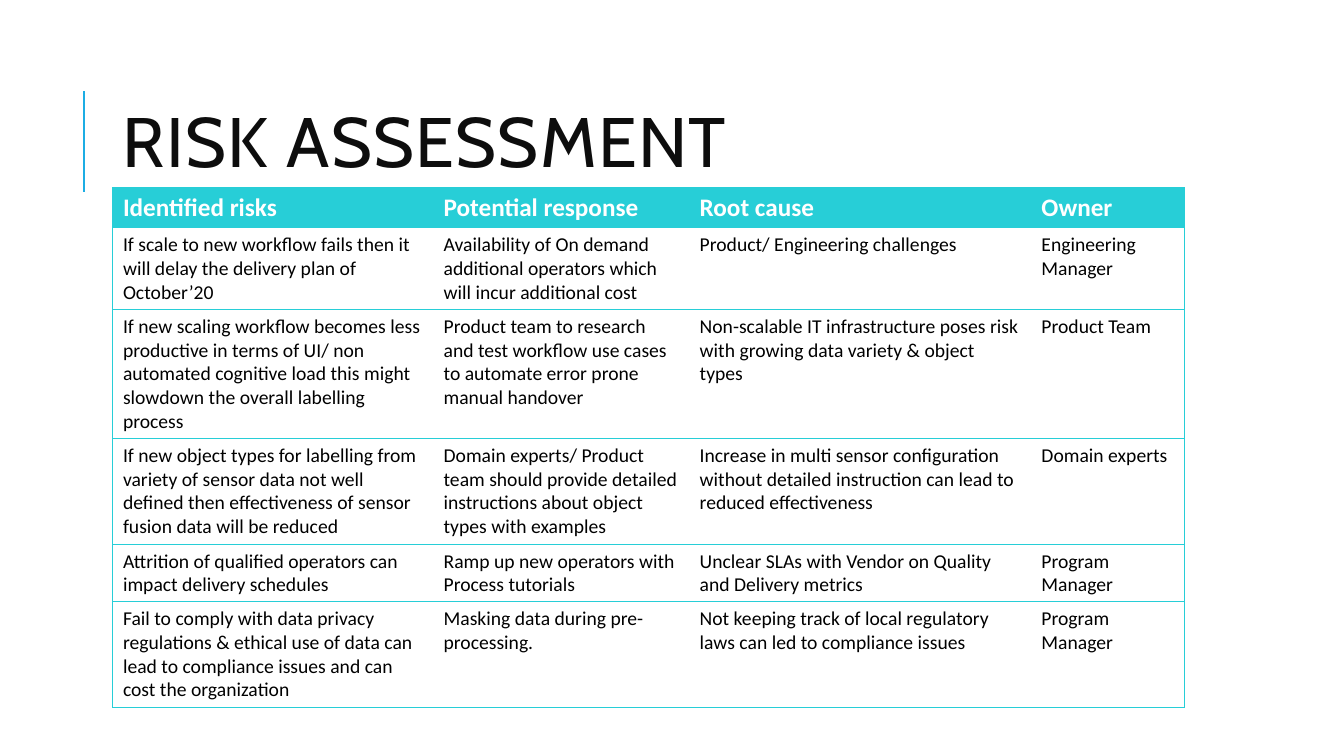
import dataclasses

import lxml.etree
import pptx
import pptx.dml.color
import pptx.enum.shapes
import pptx.enum.text
import pptx.oxml.ns
import pptx.util

Inches = pptx.util.Inches


@dataclasses.dataclass(frozen=True)
class Theme:
    """Colours, fonts and type sizes of the slide."""
    accent: str = "1CADE4"
    teal: str = "27CED7"
    title: str = "0D0D0D"
    body: str = "000000"
    white: str = "FFFFFF"
    title_font: str = "Cabin"
    body_font: str = "Calibri"
    title_size: int = 50
    header_size: int = 18
    body_size: int = 14
    rule_width: float = 1.5
    border_width: float = 0.75


THEME = Theme()
COLUMN_WIDTHS = (3.18, 2.54, 3.39, 1.52)
ROW_HEIGHTS = (0.4, 0.81, 1.28, 1.05, 0.57, 1.05)
RISKS = (
    ("Identified risks", "Potential response", "Root cause", "Owner"),
    ("If scale to new workflow fails then it will delay the delivery plan of October’20",
     "Availability of On demand additional operators which will incur additional cost",
     "Product/ Engineering challenges", "Engineering Manager"),
    ("If new scaling workflow becomes less productive in terms of UI/ non automated "
     "cognitive load this might slowdown the overall labelling process",
     "Product team to research and test workflow use cases to automate error prone manual handover",
     "Non-scalable IT infrastructure poses risk with growing data variety & object types",
     "Product Team"),
    ("If new object types for labelling from variety of sensor data not well defined "
     "then effectiveness of sensor fusion data will be reduced",
     "Domain experts/ Product team should provide detailed instructions about object types with examples",
     "Increase in multi sensor configuration without detailed instruction can lead to reduced effectiveness",
     "Domain experts"),
    ("Attrition of qualified operators can impact delivery schedules",
     "Ramp up new operators with Process tutorials",
     "Unclear SLAs with Vendor on Quality and Delivery metrics", "Program Manager"),
    ("Fail to comply with data privacy regulations & ethical use of data can lead to "
     "compliance issues and can cost the organization",
     "Masking data during pre-processing.",
     "Not keeping track of local regulatory laws can led to compliance issues",
     "Program Manager"),
)


def rgb(value):
    """Turn a hex string into a colour."""
    return pptx.dml.color.RGBColor.from_string(value)


def add_run(paragraph, text, font, size, color, bold=False):
    """Add one styled run and return it."""
    run = paragraph.add_run()
    run.text = text
    run.font.name = font
    run.font.size = pptx.util.Pt(size)
    run.font.bold = bold
    run.font.color.rgb = rgb(color)
    return run


def add_border(cell, side, visible):
    """Add a teal or empty border on one side of a cell."""
    qualified = pptx.oxml.ns.qn
    line = lxml.etree.SubElement(cell._tc.get_or_add_tcPr(), qualified(f"a:ln{side}"))
    line.set("w", str(pptx.util.Pt(THEME.border_width if visible else 0)))
    if visible:
        fill = lxml.etree.SubElement(line, qualified("a:solidFill"))
        lxml.etree.SubElement(fill, qualified("a:srgbClr")).set("val", THEME.teal)
    else:
        lxml.etree.SubElement(line, qualified("a:noFill"))


def add_accent_rule(slide, left, top, height):
    """Draw the vertical rule beside the title."""
    rule = slide.shapes.add_connector(
        pptx.enum.shapes.MSO_CONNECTOR.STRAIGHT,
        Inches(left), Inches(top + height), Inches(left), Inches(top))
    rule.line.color.rgb = rgb(THEME.accent)
    rule.line.width = pptx.util.Pt(THEME.rule_width)
    lxml.etree.SubElement(rule._element.spPr, pptx.oxml.ns.qn("a:effectLst"))


def add_title(slide, left, top, width, height):
    """Place the slide title in its box."""
    box = slide.shapes.add_textbox(Inches(left), Inches(top), Inches(width), Inches(height))
    frame = box.text_frame
    frame.word_wrap = True
    frame.vertical_anchor = pptx.enum.text.MSO_ANCHOR.MIDDLE
    paragraph = frame.paragraphs[0]
    paragraph.line_spacing = 0.8
    run = add_run(paragraph, "RISK ASSESSMENT", THEME.title_font, THEME.title_size, THEME.title)
    run.font._element.set("spc", "100")


def add_risk_table(slide, left, top, width, height):
    """Place the risk table with its header, borders and text."""
    table = slide.shapes.add_table(
        len(RISKS), len(COLUMN_WIDTHS),
        Inches(left), Inches(top), Inches(width), Inches(height)).table
    table.first_row = table.horz_banding = False
    for column, column_width in zip(table.columns, COLUMN_WIDTHS):
        column.width = Inches(column_width)
    for row_index, (row, texts) in enumerate(zip(table.rows, RISKS)):
        row.height = Inches(ROW_HEIGHTS[row_index])
        header = row_index == 0
        for column_index, (cell, text) in enumerate(zip(row.cells, texts)):
            add_border(cell, "L", column_index == 0)
            add_border(cell, "R", column_index == len(texts) - 1)
            add_border(cell, "T", True)
            add_border(cell, "B", True)
            cell.fill.solid()
            cell.fill.fore_color.rgb = rgb(THEME.teal if header else THEME.white)
            add_run(cell.text_frame.paragraphs[0], text, THEME.body_font,
                    THEME.header_size if header else THEME.body_size,
                    THEME.white if header else THEME.body, header)


def build_risk_slide(presentation):
    """Build the risk assessment slide."""
    slide = presentation.slides.add_slide(presentation.slide_layouts[6])
    add_accent_rule(slide, 0.83, 0.9, 1)
    add_title(slide, 1.12, 0.64, 10.63, 1.64)
    add_risk_table(slide, 1.12, 1.86, sum(COLUMN_WIDTHS), sum(ROW_HEIGHTS))


presentation = pptx.Presentation()
presentation.slide_width = Inches(13.33)
presentation.slide_height = Inches(7.5)
build_risk_slide(presentation)
presentation.save("out.pptx")
